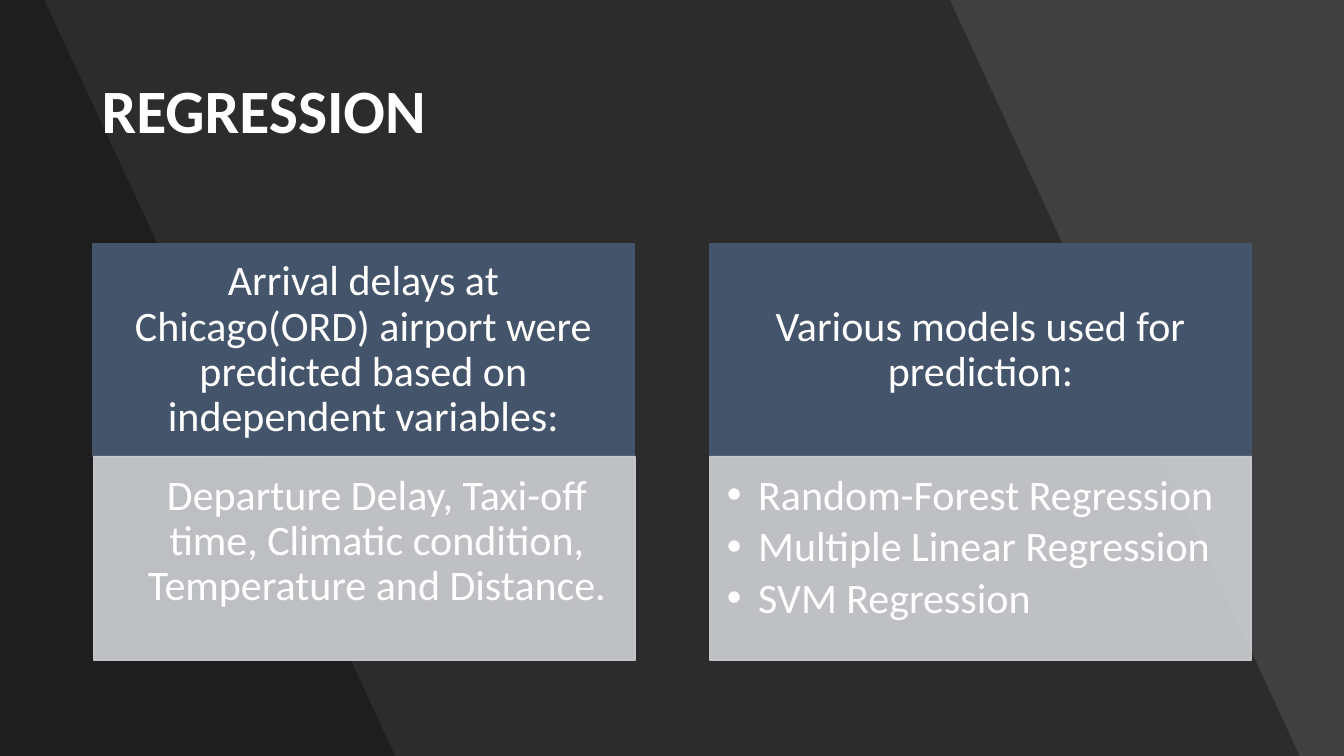
from lxml import etree
from pptx import Presentation
from pptx import util as u
from pptx.dml.color import RGBColor
from pptx.enum import shapes, text
from pptx.oxml import ns

PX = 9144
W, H = 1333, 750
FONT = "Calibri"
COLORS = {
    "back": "404040",
    "shade": "000000",
    "head": "44546A",
    "body": "CFD1D4",
    "text": "FFFFFF",
}
TITLE = "REGRESSION"
SHADES = [(942, 1289), (44, 392)]
CARDS = [
    {
        "head": (92, "Arrival delays at Chicago(ORD) airport were predicted "
                     "based on independent variables:"),
        "body": (93, ["Departure Delay, Taxi-off time, Climatic condition, "
                      "Temperature and Distance."]),
        "bullets": False,
    },
    {
        "head": (704, "Various models used for prediction:"),
        "body": (704, ["Random-Forest Regression", "Multiple Linear Regression",
                       "SVM Regression"]),
        "bullets": True,
    },
]
CARD_W, HEAD_TOP, HEAD_H, BODY_H = 537, 242, 211, 202
INDENT = 31

prs = Presentation()
prs.slide_width, prs.slide_height = W * PX, H * PX
s = prs.slides.add_slide(prs.slide_layouts[6])


def rgb(name):
    return RGBColor.from_string(COLORS[name])


def set_alpha(fill, percent):
    color = fill.find(".//" + ns.qn("a:srgbClr"))
    etree.SubElement(color, ns.qn("a:alpha")).set("val", str(percent * 1000))


def paint(sp, color, alpha=100, line=True):
    sp.shadow.inherit = False
    sp.fill.solid()
    sp.fill.fore_color.rgb = rgb(color)
    if line:
        sp.line.color.rgb = rgb(color)
        sp.line.width = u.Pt(1)
    else:
        sp.line.fill.background()
    if alpha < 100:
        for fill in sp._element.spPr.iter(ns.qn("a:solidFill")):
            set_alpha(fill, alpha)


def write(sp, lines, size=30, bold=False, align="LEFT", anchor="MIDDLE",
          insets=(10, 5, 10, 5), after=0, indent=0, bullets=False):
    tf = sp.text_frame
    tf.word_wrap = True
    tf.vertical_anchor = getattr(text.MSO_ANCHOR, anchor)
    tf.margin_left, tf.margin_top, tf.margin_right, tf.margin_bottom = (
        n * PX for n in insets)
    for i, line in enumerate(lines):
        p = tf.add_paragraph() if i else tf.paragraphs[0]
        p.alignment = getattr(text.PP_ALIGN, align)
        p.line_spacing = 0.9
        p.space_after = u.Pt(after)
        pPr = p._p.get_or_add_pPr()
        pPr.set("marL", str(indent * PX))
        if bullets:
            pPr.set("indent", str(-indent * PX))
            etree.SubElement(pPr, ns.qn("a:buFont")).set("typeface", "Arial")
            etree.SubElement(pPr, ns.qn("a:buChar")).set("char", "•")
        r = p.add_run()
        r.text = line
        r.font.name, r.font.size, r.font.bold = FONT, u.Pt(size), bold
        r.font.color.rgb = rgb("text")


def box(left, top, height, color, alpha=100):
    sp = s.shapes.add_shape(shapes.MSO_SHAPE.RECTANGLE, left * PX, top * PX,
                            CARD_W * PX, height * PX)
    paint(sp, color, alpha)
    return sp


s.background.fill.solid()
s.background.fill.fore_color.rgb = rgb("back")

for top_x, bottom_x in SHADES:
    outline = s.shapes.build_freeform(0, 0, scale=PX)
    outline.add_line_segments([(top_x, 0), (bottom_x, H), (0, H)])
    paint(outline.convert_to_shape(), "shade", 30, line=False)

title = s.shapes.add_textbox(91 * PX, 40 * PX, 1151 * PX, 145 * PX)
write(title, [TITLE], size=44, bold=True)

for card in CARDS:
    left, heading = card["head"]
    write(box(left, HEAD_TOP, HEAD_H, "head"), [heading], align="CENTER",
          insets=(23, 13, 23, 13))
    left, lines = card["body"]
    write(box(left, HEAD_TOP + HEAD_H, BODY_H, "body", 90), lines,
          align="LEFT" if card["bullets"] else "CENTER", anchor="TOP",
          insets=(17, 17, 23, 26), after=4.5, indent=INDENT,
          bullets=card["bullets"])

prs.save("out.pptx")
